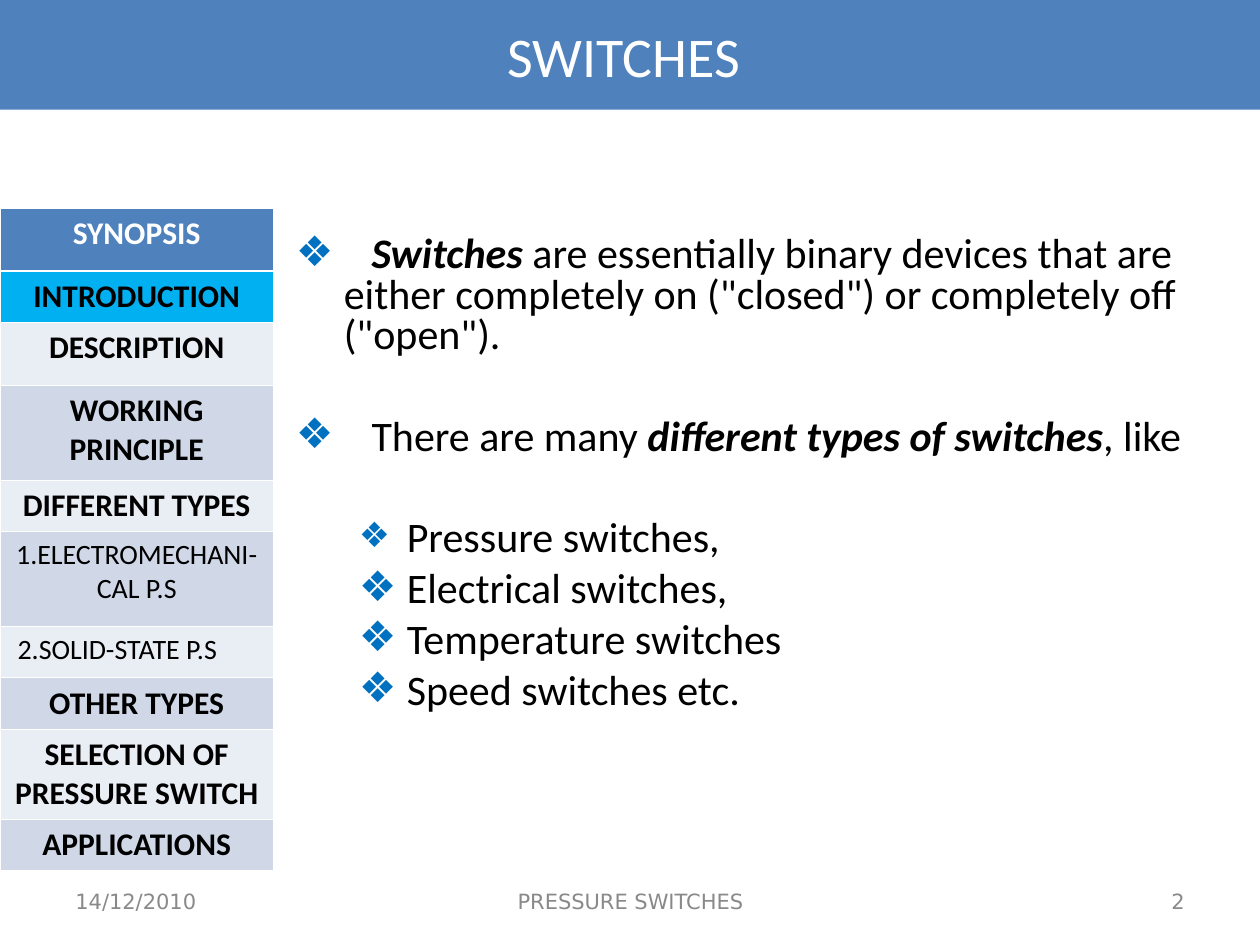
from dataclasses import dataclass
from typing import Any

from lxml.etree import SubElement
from pptx import Presentation
from pptx.dml.color import RGBColor as Rgb
from pptx.enum.shapes import MSO_SHAPE as Shape
from pptx.enum.text import MSO_ANCHOR as Anchor, PP_ALIGN as Align
from pptx.oxml.ns import qn
from pptx.util import Inches, Pt

HUES = {
    "blue": "4F81BD", "cyan": "00B0F0", "pale": "E9EDF4", "mist": "D0D8E8",
    "mark": "0070C0", "grey": "898989", "white": "FFFFFF", "black": "000000",
}


def rgb(hue):
    return Rgb.from_string(HUES[hue])


def write(para, text, size=24, hue="black", font="Calibri", bold=False, slant=False):
    run = para.add_run()
    run.text = text
    face = run.font
    face.name, face.size = font, Pt(size)
    face.bold, face.italic = bold, slant
    face.color.rgb = rgb(hue)


def bullet(para, left, hang, scale=100, tab=None):
    """Give a paragraph a coloured diamond, a hanging indent and maybe a tab stop."""
    props = para._p.get_or_add_pPr()
    props.set("marL", str(Inches(left)))
    props.set("indent", str(-Inches(hang)))
    color = SubElement(props, qn("a:buClr"))
    SubElement(color, qn("a:srgbClr"), val=HUES["mark"])
    SubElement(props, qn("a:buSzPct"), val=str(scale * 1000))
    SubElement(props, qn("a:buFont"), typeface="DejaVu Sans")
    SubElement(props, qn("a:buChar"), char="❖")
    if tab:
        stops = SubElement(props, qn("a:tabLst"))
        SubElement(stops, qn("a:tab"), pos=str(Inches(tab)), algn="l")


def edge(cell, widths):
    """Draw white cell borders; widths run left, right, top, bottom."""
    props = cell._tc.get_or_add_tcPr()
    for spot, (side, width) in enumerate(zip("LRTB", widths)):
        line = SubElement(props, qn(f"a:ln{side}"), w=str(Pt(width)))
        fill = SubElement(line, qn("a:solidFill"))
        SubElement(fill, qn("a:srgbClr"), val=HUES["white"])
        props.insert(spot, line)


@dataclass
class Page:
    slide: Any
    thin: float = 0.45
    thick: float = 1.47

    def box(self, left, top, width, height, anchor=Anchor.TOP):
        frame = self.slide.shapes.add_textbox(
            Inches(left), Inches(top), Inches(width), Inches(height)).text_frame
        frame.word_wrap = True
        frame.vertical_anchor = anchor
        return frame

    def banner(self, text):
        bar = self.slide.shapes.add_shape(
            Shape.RECTANGLE, 0, 0, Inches(10), Inches(0.87))
        bar.shadow.inherit = False
        bar.fill.solid()
        bar.fill.fore_color.rgb = rgb("blue")
        bar.line.fill.background()
        frame = bar.text_frame
        frame.vertical_anchor = Anchor.MIDDLE
        frame.margin_right = Inches(0.2)
        para = frame.paragraphs[0]
        para.alignment = Align.CENTER
        write(para, text, size=32, hue="white")

    def footer(self, text, left, width, align):
        para = self.box(left, 6.95, width, 0.4, Anchor.MIDDLE).paragraphs[0]
        para.alignment = align
        write(para, text, size=12, hue="grey", font="DejaVu Sans")

    def body(self, points, kinds):
        frame = self.box(2.25, 1.83, 7.42, 4.87)
        for spot, (gap, runs) in enumerate(points):
            para = frame.add_paragraph() if spot else frame.paragraphs[0]
            para.line_spacing = 0.8
            para.space_before = Pt(gap)
            para.level = 0 if spot < 2 else 1
            bullet(para, **kinds[spot])
            for text, strong in runs:
                write(para, text, bold=strong, slant=strong)

    def menu(self, rows):
        grid = self.slide.shapes.add_table(
            len(rows), 1, 0, Inches(1.65), Inches(2.17),
            Inches(sum(row[1] for row in rows))).table
        grid.columns[0].width = Inches(2.17)
        for spot, (text, height, sub) in enumerate(rows):
            grid.rows[spot].height = Inches(height)
            cell = grid.cell(spot, 0)
            cell.fill.solid()
            tint = ("blue", "cyan")[spot] if spot < 2 else ("pale", "mist")[spot % 2]
            cell.fill.fore_color.rgb = rgb(tint)
            edge(cell, (self.thin, self.thin,
                        self.thick if spot == 1 else self.thin,
                        self.thick if spot == 0 else self.thin))
            para = cell.text_frame.paragraphs[0]
            para.alignment = Align.CENTER
            if text.startswith("2."):
                para.alignment = Align.LEFT
                cell.margin_left = Inches(0.14)
            write(para, text, size=16 if sub else 18, bold=not sub,
                  hue="black" if spot else "white")


ROWS = [
    ("SYNOPSIS", 0.5, False),
    ("INTRODUCTION", 0.41, False),
    ("DESCRIPTION", 0.5, False),
    ("WORKING PRINCIPLE", 0.75, False),
    ("DIFFERENT TYPES", 0.41, False),
    ("1.ELECTROMECHANI-CAL P.S", 0.75, True),
    ("2.SOLID-STATE P.S", 0.41, True),
    ("OTHER TYPES", 0.41, False),
    ("SELECTION OF PRESSURE SWITCH", 0.71, False),
    ("APPLICATIONS", 0.41, False),
]
POINTS = [
    (0, [("\tSwitches", True),
         (' are essentially binary devices that are either completely on '
          '("closed") or completely off ("open").', False)]),
    (35, [("\tThere are many ", False), ("different types of switches", True),
          (", like", False)]),
    (35, [("Pressure switches,", False)]),
    (6, [("Electrical switches,", False)]),
    (6, [("Temperature switches", False)]),
    (6, [("Speed switches etc.", False)]),
]
MAIN = {"left": 0.38, "hang": 0.38, "tab": 0.6}
SUB = {"left": 0.88, "hang": 0.38}
KINDS = [MAIN] * 2 + [SUB | {"scale": 83}] + [SUB] * 3


def main():
    deck = Presentation()
    deck.slide_width, deck.slide_height = Inches(10), Inches(7.5)
    page = Page(deck.slides.add_slide(deck.slide_layouts[6]))
    page.body(POINTS, KINDS)
    page.footer("14/12/2010", 0.5, 2.33, Align.LEFT)
    page.footer("2", 7.17, 2.33, Align.RIGHT)
    page.footer("PRESSURE SWITCHES", 3.42, 3.17, Align.CENTER)
    page.banner("SWITCHES")
    page.menu(ROWS)
    deck.save("out.pptx")


if __name__ == "__main__":
    main()
